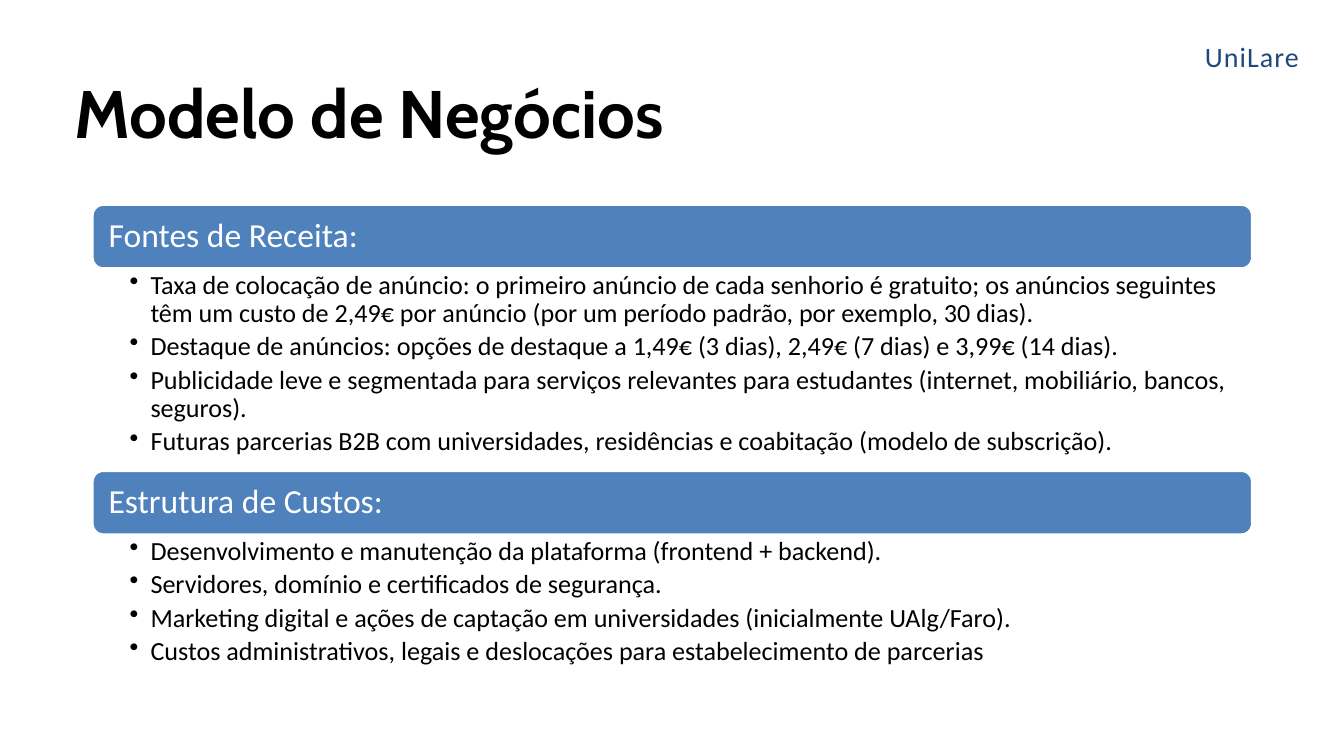
from lxml import etree
from pptx import Presentation
from pptx import util as u
from pptx.dml.color import RGBColor
from pptx.enum import shapes, text
from pptx.oxml import ns

BLACK = RGBColor(0x00, 0x00, 0x00)
WHITE = RGBColor(0xFF, 0xFF, 0xFF)
BLUE = RGBColor(0x4F, 0x81, 0xBD)
NAVY = RGBColor(0x1F, 0x49, 0x7D)

# Lengths are percentages of the slide's width or height
LEFT, WIDTH = 6.9, 86.25
TOP, BAR_HEIGHT = 27.11, 8.36

SECTIONS = [
    ("Fontes de Receita:", 26.84, [
        "Taxa de colocação de anúncio: o primeiro anúncio de cada senhorio é gratuito; "
        "os anúncios seguintes têm um custo de 2,49€ por anúncio "
        "(por um período padrão, por exemplo, 30 dias).",
        "Destaque de anúncios: opções de destaque a 1,49€ (3 dias), 2,49€ (7 dias) "
        "e 3,99€ (14 dias).",
        "Publicidade leve e segmentada para serviços relevantes para estudantes "
        "(internet, mobiliário, bancos, seguros).",
        "Futuras parcerias B2B com universidades, residências e coabitação "
        "(modelo de subscrição).",
    ]),
    ("Estrutura de Custos:", 18.84, [
        "Desenvolvimento e manutenção da plataforma (frontend + backend).",
        "Servidores, domínio e certificados de segurança.",
        "Marketing digital e ações de captação em universidades "
        "(inicialmente UAlg/Faro).",
        "Custos administrativos, legais e deslocações para estabelecimento de parcerias",
    ]),
]


def apply(obj, values):
    for name, value in values.items():
        setattr(obj, name, value)


class Deck:
    """Holds the text styles and the slide being filled."""

    STYLES = {
        "title": (dict(name="Cabin", size=u.Pt(72), bold=True), BLACK, {}),
        "bar": (dict(name="Calibri", size=u.Pt(36)), WHITE, dict(line_spacing=0.9)),
        "item": (dict(name="Calibri", size=u.Pt(28)), BLACK,
                 dict(line_spacing=0.9, space_after=u.Pt(5.6), level=1)),
        "brand": (dict(name="Calibri", size=u.Pt(30)), NAVY,
                  dict(line_spacing=0.9, space_before=u.Pt(10))),
    }

    def __init__(self, prs):
        self.prs = prs
        self.s = prs.slides.add_slide(prs.slide_layouts[5])

    def box(self, x, y, w, h):
        across, down = self.prs.slide_width / 100, self.prs.slide_height / 100
        return [round(n) for n in (x * across, y * down, w * across, h * down)]

    def frame(self, sp, insets, anchor, wrap=True):
        tf = sp.text_frame
        sides = ("margin_left", "margin_top", "margin_right", "margin_bottom")
        apply(tf, dict(zip(sides, map(u.Inches, insets))))
        apply(tf, dict(word_wrap=wrap, vertical_anchor=anchor,
                       auto_size=text.MSO_AUTO_SIZE.NONE))
        return tf

    def styled_run(self, p, words, style):
        font, colour, para = self.STYLES[style]
        apply(p, dict(para, alignment=text.PP_ALIGN.LEFT))
        r = p.add_run()
        r.text = words
        apply(r.font, font)
        r.font.color.rgb = colour
        return r

    def title(self, words, *place):
        sp = self.s.shapes.title
        apply(sp, dict(zip(("left", "top", "width", "height"), self.box(*place))))
        tf = self.frame(sp, (0, 0, 0, 0), text.MSO_ANCHOR.TOP)
        self.styled_run(tf.paragraphs[0], words, "title")

    def bar(self, words, *place):
        sp = self.s.shapes.add_shape(
            shapes.MSO_SHAPE.ROUNDED_RECTANGLE, *self.box(*place))
        sp.shadow.inherit = False
        sp.fill.solid()
        sp.fill.fore_color.rgb = BLUE
        sp.line.color.rgb = WHITE
        sp.line.width = u.Pt(2)
        tf = self.frame(sp, (0.19, 0.15, 0.19, 0.15), text.MSO_ANCHOR.MIDDLE)
        self.styled_run(tf.paragraphs[0], words, "bar")

    def bullets(self, items, *place):
        sp = self.s.shapes.add_textbox(*self.box(*place))
        tf = self.frame(sp, (0.55, 0.05, 0.28, 0.05), text.MSO_ANCHOR.TOP)
        for i, item in enumerate(items):
            p = tf.add_paragraph() if i else tf.paragraphs[0]
            self.styled_run(p, item, "item")
            pPr = p._p.get_or_add_pPr()
            pPr.set("marL", str(u.Inches(0.31)))
            pPr.set("indent", str(-u.Inches(0.31)))
            etree.SubElement(pPr, ns.qn("a:buChar")).set("char", "•")

    def brand(self, words, *place):
        sp = self.s.shapes.add_textbox(*self.box(*place))
        tf = self.frame(sp, (0.1, 0.05, 0.1, 0.05), text.MSO_ANCHOR.BOTTOM, wrap=False)
        r = self.styled_run(tf.paragraphs[0], words, "brand")
        r._r.get_or_add_rPr().set("spc", "120")


def main():
    prs = Presentation()
    apply(prs, dict(slide_width=u.Inches(20), slide_height=u.Inches(11.25)))
    deck = Deck(prs)
    deck.title("Modelo de Negócios", 5.55, 9.42, 67.75, 10.93)
    y = TOP
    for heading, height, items in SECTIONS:
        deck.bar(heading, LEFT, y, WIDTH, BAR_HEIGHT)
        y += BAR_HEIGHT
        deck.bullets(items, LEFT, y, WIDTH, height)
        y += height
    deck.brand("UniLare", 89.15, 4.8, 8.65, 5.33)
    prs.save("out.pptx")


if __name__ == "__main__":
    main()
